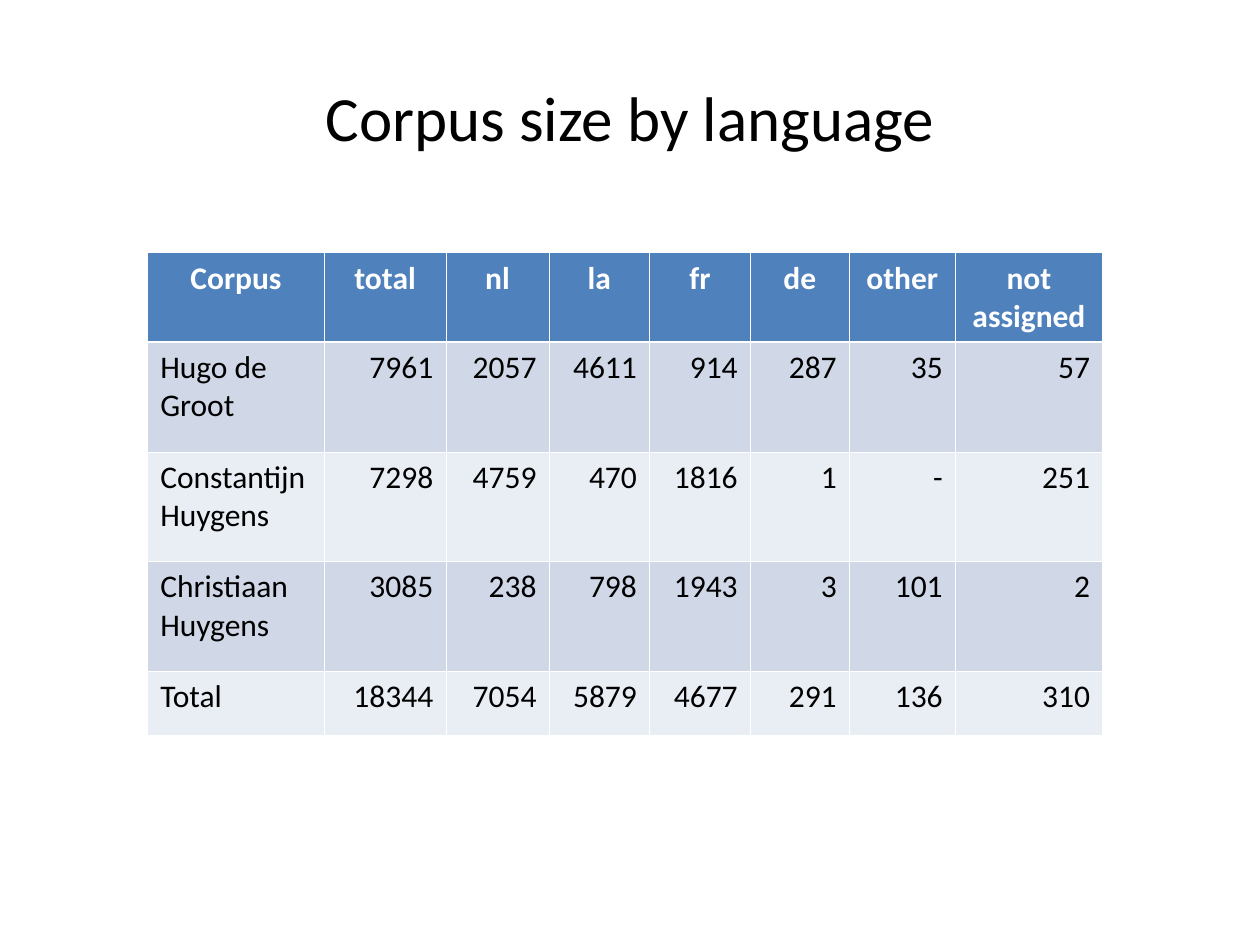
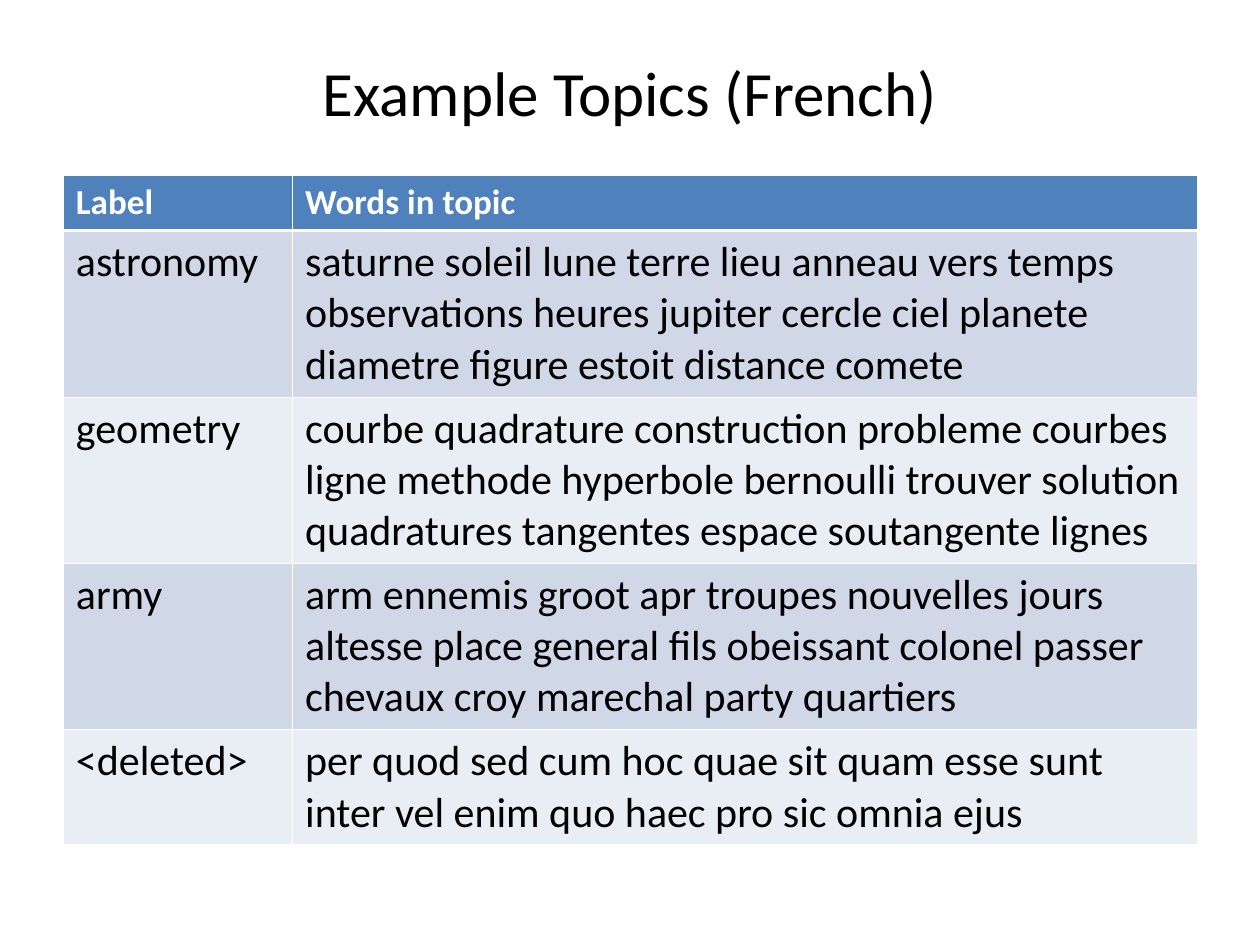
import pptx
import pptx.util
import pptx.dml.color
import pptx.enum.text
import pptx.oxml.ns
import lxml.etree

Pt = pptx.util.Pt
ALIGN = pptx.enum.text.PP_ALIGN

# Shared look
FONT = "Calibri"
TITLE_SIZE = 36
TITLE_LEFT, TITLE_TOP, TITLE_WIDTH = 36, 21.6, 648
THIN, THICK = 0.45, 1.47
COLORS = {
    "text": "000000",
    "header": "4F81BD",
    "header_text": "FFFFFF",
    "border": "FFFFFF",
    "band_dark": "D0D8E8",
    "band_light": "E9EDF4",
}

# Contents
CORPUS_ROWS = [
    ["Corpus", "total", "nl", "la", "fr", "de", "other", "not assigned"],
    ["Hugo de Groot", "7961", "2057", "4611", "914", "287", "35", "57"],
    ["Constantijn Huygens", "7298", "4759", "470", "1816", "1", "-", "251"],
    ["Christiaan Huygens", "3085", "238", "798", "1943", "3", "101", "2"],
    ["Total", "18344", "7054", "5879", "4677", "291", "136", "310"],
]
TOPIC_ROWS = [
    ["Label", "Words in topic"],
    ["astronomy", "saturne soleil lune terre lieu anneau vers temps observations heures "
                  "jupiter cercle ciel planete diametre figure estoit distance comete"],
    ["geometry", "courbe quadrature construction probleme courbes ligne methode hyperbole "
                 "bernoulli trouver solution quadratures tangentes espace soutangente lignes"],
    ["army", "arm ennemis groot apr troupes nouvelles jours altesse place general fils "
             "obeissant colonel passer chevaux croy marechal party quartiers"],
    ["<deleted>", "per quod sed cum hoc quae sit quam esse sunt inter vel enim quo haec "
                  "pro sic omnia ejus"],
]


def rgb(name):
    return pptx.dml.color.RGBColor.from_string(COLORS[name])


def format_paragraph(paragraph, size, color, bold, alignment):
    paragraph.alignment = alignment
    paragraph.font.name = FONT
    paragraph.font.size = Pt(size)
    paragraph.font.bold = bold
    paragraph.font.color.rgb = rgb(color)


def add_titled_slide(presentation, title, height):
    slide = presentation.slides.add_slide(presentation.slide_layouts[5])
    shape = slide.shapes.title
    shape.left, shape.top = Pt(TITLE_LEFT), Pt(TITLE_TOP)
    shape.width, shape.height = Pt(TITLE_WIDTH), Pt(height)
    shape.text_frame.text = title
    shape.text_frame.vertical_anchor = pptx.enum.text.MSO_ANCHOR.MIDDLE
    format_paragraph(shape.text_frame.paragraphs[0], TITLE_SIZE, "text", False, ALIGN.CENTER)
    return slide


def set_borders(cell, top, bottom):
    """Draw the four cell edges; must run before the cell gets its fill."""
    properties = cell._tc.get_or_add_tcPr()
    qualified = pptx.oxml.ns.qn
    for edge, width in (("L", THIN), ("R", THIN), ("T", top), ("B", bottom)):
        line = lxml.etree.SubElement(properties, qualified("a:ln" + edge), w=str(int(Pt(width))))
        fill = lxml.etree.SubElement(line, qualified("a:solidFill"))
        lxml.etree.SubElement(fill, qualified("a:srgbClr"), val=COLORS["border"])


def format_cell(cell, text, row, size, alignment):
    is_header = row == 0
    set_borders(cell, THICK if row == 1 else THIN, THICK if is_header else THIN)
    cell.fill.solid()
    band = "band_dark" if row % 2 else "band_light"
    cell.fill.fore_color.rgb = rgb("header" if is_header else band)
    cell.text = text
    color = "header_text" if is_header else "text"
    format_paragraph(cell.text_frame.paragraphs[0], size, color, is_header, alignment)


def add_banded_table(slide, rows, left, top, widths, heights, header_size, body_size,
                     header_alignment=ALIGN.LEFT, value_alignment=ALIGN.LEFT):
    table = slide.shapes.add_table(len(rows), len(widths), Pt(left), Pt(top),
                                   Pt(sum(widths)), Pt(sum(heights))).table
    for column, width in zip(table.columns, widths):
        column.width = Pt(width)
    for row, (texts, height) in enumerate(zip(rows, heights)):
        table.rows[row].height = Pt(height)
        for column, text in enumerate(texts):
            if row == 0:
                size, alignment = header_size, header_alignment
            else:
                size = body_size
                alignment = value_alignment if column else ALIGN.LEFT
            format_cell(table.cell(row, column), text, row, size, alignment)


def main():
    presentation = pptx.Presentation()
    presentation.slide_width, presentation.slide_height = Pt(720), Pt(540)

    # Corpus sizes
    slide = add_titled_slide(presentation, "Corpus size by language", 90)
    add_banded_table(slide, CORPUS_ROWS, 84.4, 144.4,
                     [101, 69.4, 59, 57.4, 57.6, 56.6, 60.6, 84.2],
                     [50.6, 62.7, 62.7, 62.7, 36.4], 18, 18,
                     ALIGN.CENTER, ALIGN.RIGHT)

    # Topics
    slide = add_titled_slide(presentation, "Example Topics (French)", 61.2)
    add_banded_table(slide, TOPIC_ROWS, 36.2, 100, [131, 517],
                     [31.6, 93.6, 93.6, 93.6, 64.8], 20, 24)

    presentation.save("out.pptx")


if __name__ == "__main__":
    main()
